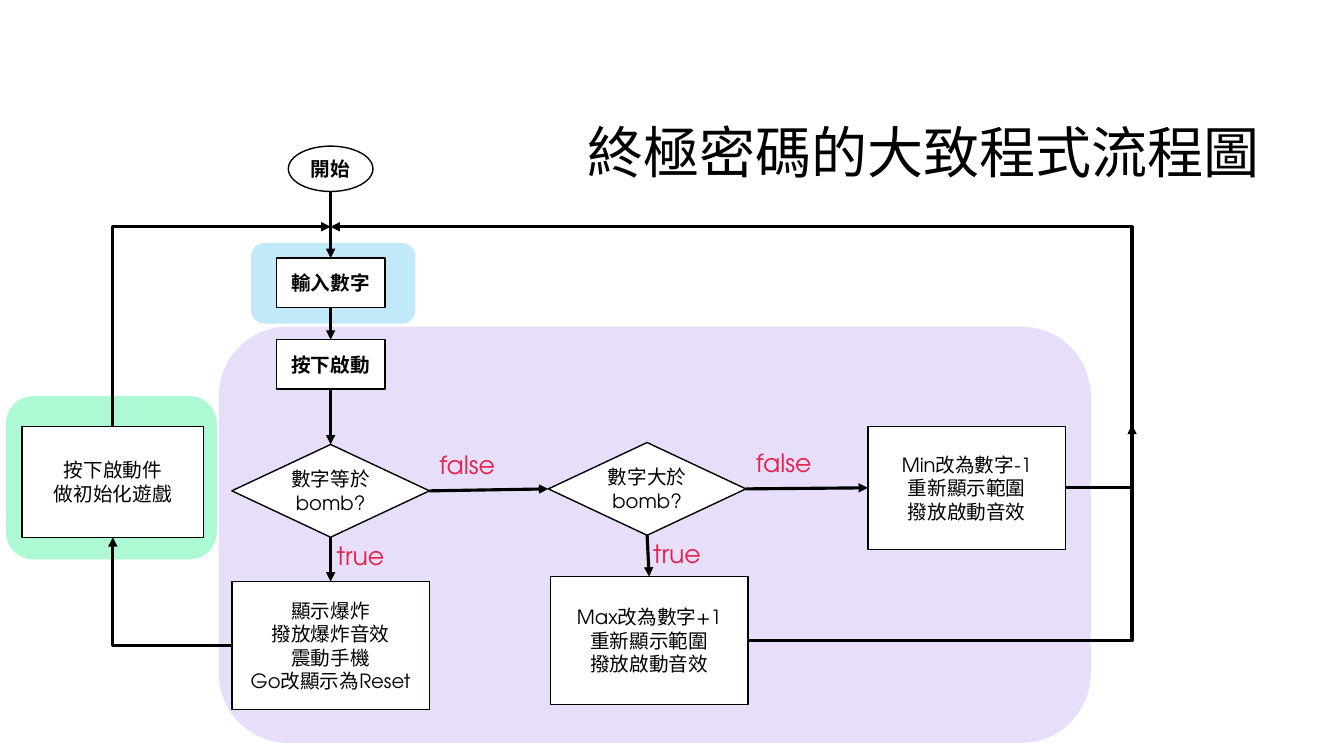
from dataclasses import dataclass

from lxml.etree import SubElement
from pptx import Presentation
from pptx.dml.color import RGBColor
from pptx.enum.shapes import MSO_CONNECTOR as Connector, MSO_SHAPE as Shape
from pptx.enum.text import MSO_ANCHOR as Anchor, PP_ALIGN as Align
from pptx.oxml.ns import qn
from pptx.util import Inches, Pt

LATIN_FONT = "TeX Gyre Adventor"
CJK_FONT = "Noto Sans CJK TC"
BLACK, WHITE, RED = "000000", "FFFFFF", "E5224E"

presentation = Presentation()
presentation.slide_width = Inches(13.33)
presentation.slide_height = Inches(7.5)
slide = presentation.slides.add_slide(presentation.slide_layouts[6])

# The slide is a grid of 100 columns by 100 rows.
COLUMN = presentation.slide_width / 100
ROW = presentation.slide_height / 100

Point = tuple[float, float]


@dataclass
class Band:
    left: float
    top: float
    width: float
    height: float
    color: str


@dataclass
class Node:
    """A flowchart step, placed by its centre."""
    x: float
    y: float
    width: float
    height: float
    kind: Shape
    text: str
    bold: bool = False

    @property
    def left(self) -> Point:
        return self.x - self.width / 2, self.y

    @property
    def right(self) -> Point:
        return self.x + self.width / 2, self.y

    @property
    def top(self) -> Point:
        return self.x, self.y - self.height / 2

    @property
    def bottom(self) -> Point:
        return self.x, self.y + self.height / 2


@dataclass
class Arrow:
    """A line; a bent one runs level from start, then upright to end."""
    start: Point
    end: Point
    bent: bool = False
    head: str = "tailEnd"


def rgb(color: str) -> RGBColor:
    return RGBColor.from_string(color)


def grid(left: float, top: float, width: float, height: float) -> list[int]:
    return [round(left * COLUMN), round(top * ROW), round(width * COLUMN), round(height * ROW)]


def write(shape, text: str, size: float, color: str = BLACK, align: Align = Align.CENTER,
          anchor: Anchor = Anchor.MIDDLE, bold: bool = False, font: str = LATIN_FONT) -> None:
    frame = shape.text_frame
    frame.word_wrap = True
    frame.vertical_anchor = anchor
    frame.text = text
    for paragraph in frame.paragraphs:
        paragraph.alignment = align
        for run in paragraph.runs:
            run.font.size = Pt(size)
            run.font.bold = bold
            run.font.name = font
            run.font.color.rgb = rgb(color)
            SubElement(run.font._element, qn("a:ea"), typeface=CJK_FONT)


def add_filled(kind: Shape, box: list[int], color: str):
    shape = slide.shapes.add_shape(kind, *box)
    shape.shadow.inherit = False
    shape.fill.solid()
    shape.fill.fore_color.rgb = rgb(color)
    shape.line.fill.background()
    return shape


def draw_band(band: Band) -> None:
    add_filled(Shape.ROUNDED_RECTANGLE, grid(band.left, band.top, band.width, band.height), band.color)


def draw_node(node: Node) -> None:
    shape = add_filled(node.kind, grid(node.left[0], node.top[1], node.width, node.height), WHITE)
    shape.line.color.rgb = rgb(BLACK)
    shape.line.width = Pt(1)
    write(shape, node.text, 14, bold=node.bold, font=CJK_FONT if node.bold else LATIN_FONT)


def draw_arrow(arrow: Arrow) -> None:
    ends = grid(*arrow.start, *arrow.end)
    kind = Connector.ELBOW if arrow.bent else Connector.STRAIGHT
    connector = slide.shapes.add_connector(kind, *ends)
    connector.line.color.rgb = rgb(BLACK)
    connector.line.width = Pt(2.25)
    properties = connector._element.spPr
    if arrow.bent:
        properties.find(qn("a:prstGeom")).set("prst", "bentConnector2")
    if arrow.head:
        SubElement(properties.find(qn("a:ln")), qn(f"a:{arrow.head}"), type="triangle")
    SubElement(properties, qn("a:effectLst"))


def draw_label(text: str, left: float, top: float, width: float) -> None:
    label = slide.shapes.add_textbox(*grid(left, top, width, 5.33))
    write(label, text, 18, RED, Align.LEFT, Anchor.TOP)


def draw_answers(decision: Node) -> None:
    draw_label("true", decision.x - 0.3, decision.bottom[1] - 0.2, 5.1)
    draw_label("false", decision.right[0], decision.top[1], 5.78)


MAIN_X = 24.6
STEP = (8.1, 6.53)
DECISION = (14.7, 12.27)
ACTION = (14.7, 16.93)
MERGE = (MAIN_X, 30)
RETURN = (84.23, 56.2)

bands = [
    Band(0.45, 52.4, 15.68, 21.6, "ADF9D3"),
    Band(16.28, 43.2, 64.88, 55.07, "E7DFFA"),
    Band(18.68, 32.13, 12.23, 10.67, "C1E9F9"),
]

start = Node(MAIN_X, 22.33, 6.3, 6, Shape.OVAL, "開始", True)
enter = Node(MAIN_X, 37.4, *STEP, Shape.RECTANGLE, "輸入數字", True)
press = Node(MAIN_X, 48.2, *STEP, Shape.RECTANGLE, "按下啟動", True)
is_equal = Node(MAIN_X, 64.93, *DECISION, Shape.FLOWCHART_DECISION, "數字等於bomb?")
explode = Node(MAIN_X, 85.4, *ACTION, Shape.FLOWCHART_PROCESS,
               "顯示爆炸\n撥放爆炸音效\n震動手機\nGo改顯示為Reset")
reset = Node(8.4, 63.73, 13.5, 14.67, Shape.FLOWCHART_PROCESS, "按下啟動件\n做初始化遊戲")
is_greater = Node(48.15, 64.67, *DECISION, Shape.FLOWCHART_DECISION, "數字大於bomb?")
set_max = Node(48.3, 84.73, *ACTION, Shape.FLOWCHART_PROCESS,
               "Max改為數字+1\n重新顯示範圍\n撥放啟動音效")
set_min = Node(71.93, 64.53, 14.7, 16.27, Shape.FLOWCHART_PROCESS,
               "Min改為數字-1\n重新顯示範圍\n撥放啟動音效")
nodes = [start, enter, press, is_equal, explode, reset, is_greater, set_max, set_min]

arrows = [
    Arrow(start.bottom, enter.top),
    Arrow(enter.bottom, press.top),
    Arrow(press.bottom, is_equal.top),
    Arrow(is_equal.bottom, explode.top),
    Arrow(is_equal.right, is_greater.left),
    Arrow(is_greater.bottom, set_max.top),
    Arrow(is_greater.right, set_min.left),
    Arrow(explode.left, reset.bottom, bent=True),
    Arrow(MERGE, reset.top, bent=True, head="headEnd"),
    Arrow(MERGE, RETURN, bent=True, head="headEnd"),
    Arrow(set_min.right, RETURN, bent=True, head=""),
    Arrow(set_max.right, RETURN, bent=True),
]

for band in bands:
    draw_band(band)
title = slide.shapes.add_textbox(*grid(23.78, 11.2, 70.65, 18.8))
write(title, "終極密碼的大致程式流程圖", 40, align=Align.RIGHT)
title.text_frame.paragraphs[0].line_spacing = 0.9
for node in nodes:
    draw_node(node)
for arrow in arrows:
    draw_arrow(arrow)
for decision in (is_equal, is_greater):
    draw_answers(decision)

presentation.save("out.pptx")
